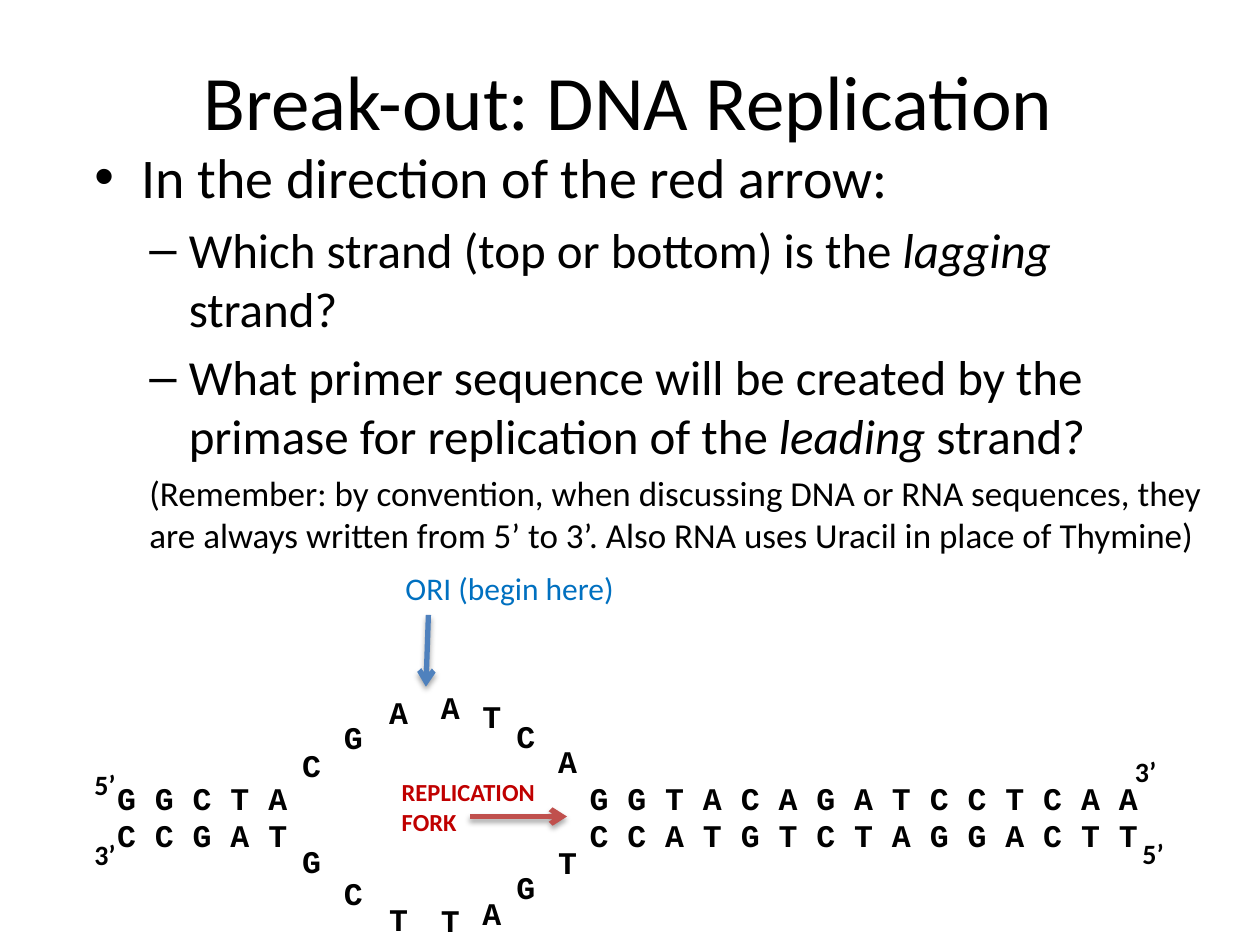
from dataclasses import dataclass

from lxml.etree import SubElement
from pptx import Presentation
from pptx.dml.color import RGBColor
from pptx.enum.shapes import MSO_CONNECTOR
from pptx.enum.text import MSO_ANCHOR, MSO_AUTO_SIZE, PP_ALIGN
from pptx.oxml.ns import qn
from pptx.util import Pt


@dataclass(frozen=True)
class Theme:
    sans: str = "Calibri"
    mono: str = "Courier New"
    black: str = "000000"
    red: str = "C00000"
    blue: str = "0070C0"
    red_arrow: str = "C0504D"
    blue_arrow: str = "4F81BD"
    title: int = 44
    question: int = 32
    sub_question: int = 28
    note: int = 20
    base: int = 18
    end: int = 16
    fork: int = 14


T = Theme()

# text runs, size, left margin, first-line indent, bullet
BODY = [
    (["In the direction of the red arrow:"], T.question, 27, -27, "•"),
    (["Which strand (top or bottom) is the ", "lagging", " strand?"],
     T.sub_question, 54, -22.5, "–"),
    (["What primer sequence will be created by the primase for replication of the ",
      "leading", " strand?"], T.sub_question, 54, -22.5, "–"),
    (["(Remember: by convention, when discussing DNA or RNA sequences, they are "
      "always written from 5’ to 3’. Also RNA uses Uracil in place of Thymine)"],
     T.note, 31.5, 0, None),
]

STRANDS = ["G G C T A\tG G T A C A G A T C C T C A A",
           "C C G A T\tC C A T G T C T A G G A C T T"]
FORK_TAB = 25 * 0.6 * T.base  # 25 monospaced characters, each 0.6 em wide

# left, top base, its y, bottom base, its y
BUBBLE = [
    (165.6, "C", 422.6, "G", 477.4),
    (189.4, "G", 406.8, "C", 496.1),
    (215.3, "A", 392.4, "T", 510.5),
    (244.8, "A", 389.5, "T", 511.2),
    (268.6, "T", 394.6, "A", 507.6),
    (288, "C", 406.1, "G", 492.5),
    (311.8, "A", 420.5, "T", 478.1),
]

STRAND_ENDS = [("5’", 46.8, 434.9), ("3’", 46.8, 475.2),
               ("3’", 641.5, 427.7), ("5’", 645.8, 474.5)]


def add_frame(s, box, wrap=True):
    tf = s.shapes.add_textbox(*map(Pt, box)).text_frame
    tf.word_wrap = wrap
    return tf


def add_run(p, text, size, font=T.sans, color=T.black, **style):
    r = p.add_run()
    r.text = text
    values = {"name": font, "size": Pt(size), **style}
    for name, value in values.items():
        setattr(r.font, name, value)
    r.font.color.rgb = RGBColor.from_string(color)


def add_label(s, box, lines, size, wrap=False, **style):
    """Add a box that fits its lines, one paragraph each."""
    tf = add_frame(s, box, wrap)
    tf.auto_size = MSO_AUTO_SIZE.SHAPE_TO_FIT_TEXT
    for i, line in enumerate(lines):
        p = tf.add_paragraph() if i else tf.paragraphs[0]
        add_run(p, line, size, **style)
    return tf


def add_title(s, text):
    tf = add_frame(s, (35.3, 12.2, 648, 90))
    tf.vertical_anchor = MSO_ANCHOR.MIDDLE
    p = tf.paragraphs[0]
    p.alignment = PP_ALIGN.CENTER
    add_run(p, text, T.title)


def add_body(s):
    tf = add_frame(s, (46.8, 77.8, 648, 356.4))
    for i, (runs, size, margin, indent, bullet) in enumerate(BODY):
        p = tf.add_paragraph() if i else tf.paragraphs[0]
        pPr = p._p.get_or_add_pPr()
        pPr.set("marL", str(Pt(margin)))
        pPr.set("indent", str(Pt(indent)))
        if bullet:
            SubElement(pPr, qn("a:buFont"), typeface="Arial")
            SubElement(pPr, qn("a:buChar"), char=bullet)
        if i:
            p.space_before = Pt(0.2 * size)
        for j, text in enumerate(runs):
            add_run(p, text, size, italic=j == 1)


def add_strands(s):
    tf = add_label(s, (59.8, 441.4, 617.8, 51.1), STRANDS, T.base, wrap=True,
                   font=T.mono, bold=True)
    for p in tf.paragraphs:
        tabs = SubElement(p._p.get_or_add_pPr(), qn("a:tabLst"))
        SubElement(tabs, qn("a:tab"), pos=str(Pt(FORK_TAB)), algn="l")


def add_bubble(s):
    for x, top, top_y, bottom, bottom_y in BUBBLE:
        for base, y in ((top, top_y), (bottom, bottom_y)):
            add_label(s, (x, y, 23.8, 28.8), [base], T.base, wrap=True,
                      font=T.mono, bold=True)


def add_arrow(s, start, end, color):
    """Add an arrow with a soft shadow below it."""
    c = s.shapes.add_connector(MSO_CONNECTOR.STRAIGHT, *map(Pt, start + end))
    c.line.width = Pt(3)
    c.line.color.rgb = RGBColor.from_string(color)
    SubElement(c.line._get_or_add_ln(), qn("a:tailEnd"), type="arrow")
    effects = SubElement(c._element.spPr, qn("a:effectLst"))
    shadow = SubElement(effects, qn("a:outerShdw"), blurRad=str(Pt(3.1)),
                        dist=str(Pt(1.8)), dir="5400000", rotWithShape="0")
    black = SubElement(shadow, qn("a:srgbClr"), val=T.black)
    SubElement(black, qn("a:alpha"), val="35000")


def main():
    prs = Presentation()
    prs.slide_width, prs.slide_height = Pt(720), Pt(540)
    s = prs.slides.add_slide(prs.slide_layouts[6])
    add_title(s, "Break-out: DNA Replication")
    add_body(s)
    add_strands(s)
    add_bubble(s)
    for text, x, y in STRAND_ENDS:
        add_label(s, (x, y, 26.6, 26.6), [text], T.end, bold=True)
    add_arrow(s, (268.6, 466.6), (324, 466.6), T.red_arrow)
    add_label(s, (222.5, 440.6, 91.4, 41), ["REPLICATION", "FORK"], T.fork,
              color=T.red, bold=True)
    add_arrow(s, (244.8, 351.4), (243.4, 392.4), T.blue_arrow)
    add_label(s, (224.6, 321.8, 135.4, 28.8), ["ORI (begin here)"], T.base,
              color=T.blue)
    prs.save("out.pptx")


if __name__ == "__main__":
    main()
